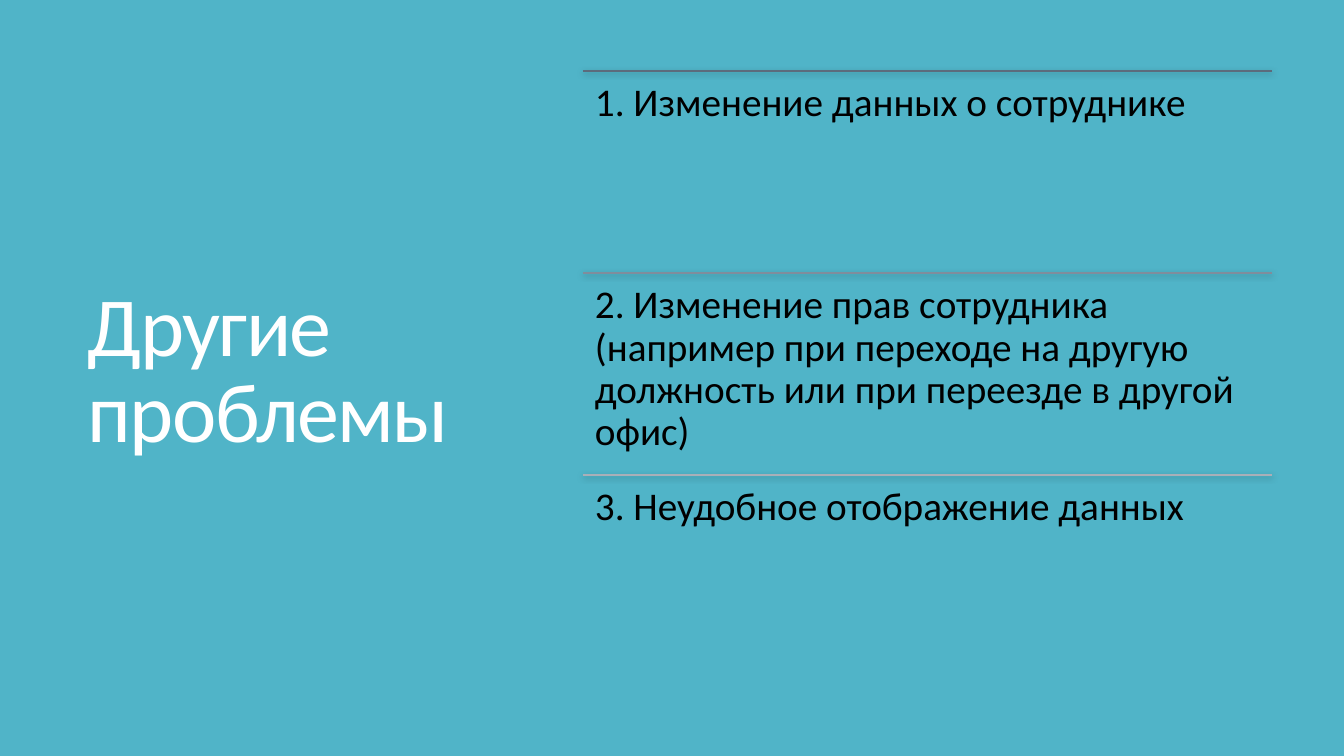
import lxml.etree
import pptx
import pptx.dml.color
import pptx.enum.shapes
import pptx.enum.text
import pptx.oxml
import pptx.oxml.ns
import pptx.util

SLIDE_WIDTH, SLIDE_HEIGHT = 1344, 756
SCALE = 12192000 / SLIDE_WIDTH
FONT = "Calibri"
PROBLEMS = [
    ("1. Изменение данных о сотруднике", "5C6B7C"),
    ("2. Изменение прав сотрудника (например при переходе на другую "
     "должность или при переезде в другой офис)", "808D9C"),
    ("3. Неудобное отображение данных", "A9AFB8"),
]
RULE_SHADOW = (
    f'<a:effectLst {pptx.oxml.ns.nsdecls("a")}>'
    '<a:outerShdw blurRad="57150" dist="19050" dir="5400000" algn="ctr" rotWithShape="0">'
    '<a:srgbClr val="000000"><a:alpha val="63000"/></a:srgbClr>'
    '</a:outerShdw></a:effectLst>'
)


def px(length):
    return pptx.util.Emu(round(length * SCALE))


def color(hex_value):
    return pptx.dml.color.RGBColor.from_string(hex_value)


def add_text(slide, box, text, size, hex_value, line_spacing, inset, anchor):
    frame = slide.shapes.add_textbox(*map(px, box)).text_frame
    frame.word_wrap = True
    frame.vertical_anchor = anchor
    frame.margin_left = frame.margin_right = px(inset)
    frame.margin_top = frame.margin_bottom = px(inset)
    paragraph = frame.paragraphs[0]
    paragraph.text = text
    paragraph.line_spacing = line_spacing
    paragraph.font.name = FONT
    paragraph.font.size = pptx.util.Pt(size)
    paragraph.font.color.rgb = color(hex_value)
    return paragraph


def add_rule(slide, left, top, width, hex_value):
    rule = slide.shapes.add_connector(
        pptx.enum.shapes.MSO_CONNECTOR.STRAIGHT,
        px(left), px(top), px(left + width), px(top))
    rule.line.color.rgb = color(hex_value)
    rule.line.width = pptx.util.Pt(0.75)
    rule._element.spPr.append(pptx.oxml.parse_xml(RULE_SHADOW))


def add_heading(slide, box):
    heading = add_text(slide, box, "Другие проблемы", 60, "FFFFFF", 0.85, 10,
                       pptx.enum.text.MSO_ANCHOR.MIDDLE)
    for run in heading.runs:
        run.font._element.set("spc", "-120")


def add_problem_list(slide, box):
    left, top, width, height = box
    row_height = height / len(PROBLEMS)
    for index, (problem, rule_color) in enumerate(PROBLEMS):
        row_top = top + index * row_height
        add_rule(slide, left, row_top, width, rule_color)
        add_text(slide, (left, row_top, width, row_height), problem, 28, "000000",
                 0.9, 12, pptx.enum.text.MSO_ANCHOR.TOP)


presentation = pptx.Presentation()
presentation.slide_width = px(SLIDE_WIDTH)
presentation.slide_height = px(SLIDE_HEIGHT)
slide = presentation.slides.add_slide(presentation.slide_layouts[6])
slide.background.fill.solid()
slide.background.fill.fore_color.rgb = color("50B4C8")
add_heading(slide, (78, 71, 440, 606))
add_problem_list(slide, (583, 71, 689, 606))
presentation.save("out.pptx")
